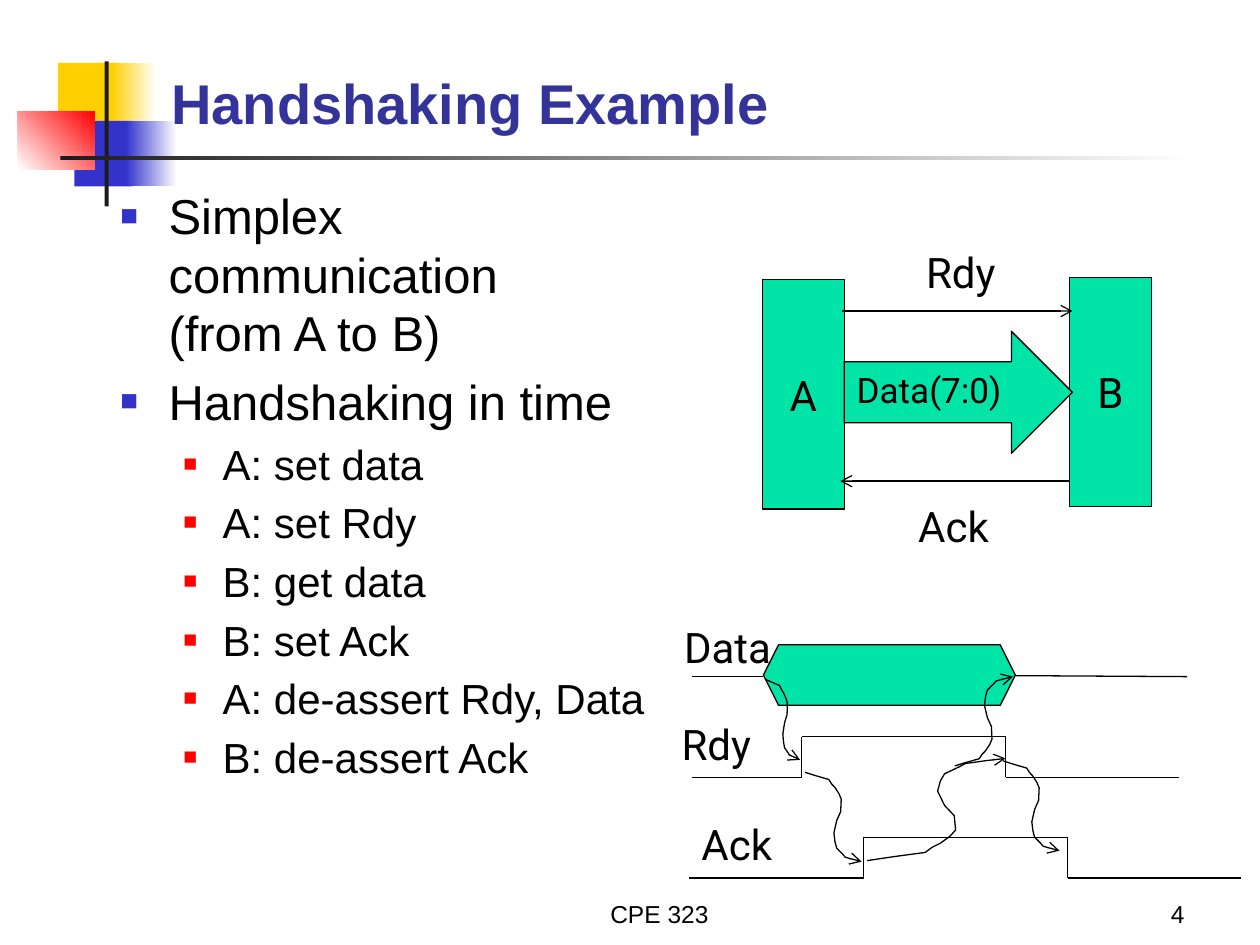
from dataclasses import dataclass

from lxml.etree import SubElement
from pptx import Presentation
from pptx.dml.color import RGBColor
from pptx.enum.shapes import MSO_CONNECTOR, MSO_SHAPE
from pptx.enum.text import MSO_ANCHOR, PP_ALIGN
from pptx.oxml.ns import qn
from pptx.util import Cm, Pt


@dataclass(frozen=True)
class Theme:
    yellow: str = "FFCF01"
    blue: str = "3333CC"
    red: str = "FF0000"
    white: str = "FFFFFF"
    dark: str = "1C1C1C"
    title: str = "333399"
    text: str = "000000"
    green: str = "00E4A8"
    body_font: str = "Arial"
    label_font: str = "Roboto"
    title_size: int = 32
    body_size: int = 28
    item_size: int = 24
    label_size: int = 24
    bus_size: int = 20
    footer_size: int = 14
    line_width: float = 0.75


theme = Theme()


def add_run(p, text, size, font, color=theme.text):
    r = p.add_run()
    r.text = text
    r.font.size = Pt(size)
    r.font.name = font
    r.font.color.rgb = RGBColor.from_string(color)
    return r


def set_stroke(sp, arrow=False):
    sp.line.color.rgb = RGBColor.from_string(theme.text)
    sp.line.width = Pt(theme.line_width)
    spPr = sp.element.spPr
    if arrow:
        SubElement(spPr.find(qn("a:ln")), qn("a:tailEnd"), type="arrow")
    SubElement(spPr, qn("a:effectLst"))


prs = Presentation()
prs.slide_width = Cm(25.4)
prs.slide_height = Cm(19.05)
s = prs.slides.add_slide(prs.slide_layouts[5])

decorations = [
    (1.17, 1.27, 1.22, 1.32, [theme.yellow], 0),
    (2.24, 1.27, 0.91, 1.32, [theme.yellow, theme.white], 0),
    (1.5, 2.44, 1.17, 1.32, [theme.blue], 0),
    (2.54, 2.44, 1.02, 1.32, [theme.blue, theme.white], 0),
    (0.36, 2.24, 1.55, 1.17, [theme.white, theme.red], 45),
    (2.11, 1.24, 0.08, 2.92, [theme.dark], 0),
    (1.22, 3.15, 22.86, 0.08, [theme.dark, theme.white], 0),
]
for x, y, w, h, colors, angle in decorations:
    sp = s.shapes.add_shape(MSO_SHAPE.RECTANGLE, Cm(x), Cm(y), Cm(w), Cm(h))
    sp.shadow.inherit = False
    sp.line.fill.background()
    if len(colors) == 1:
        sp.fill.solid()
        sp.fill.fore_color.rgb = RGBColor.from_string(colors[0])
    else:
        sp.fill.gradient()
        sp.fill.gradient_angle = angle
        for stop, color in zip(sp.fill.gradient_stops, colors):
            stop.color.rgb = RGBColor.from_string(color)

title = s.shapes.title
title.element.getparent().append(title.element)
title.left, title.top, title.width, title.height = Cm(3.2), Cm(0.46), Cm(21.64), Cm(2.41)
tf = title.text_frame
tf.vertical_anchor = MSO_ANCHOR.BOTTOM
p = tf.paragraphs[0]
p.alignment = PP_ALIGN.LEFT
r = add_run(p, "Handshaking Example", theme.title_size, theme.body_font, theme.title)
r.font.bold = True

body = [
    (0, ["Simplex communication", "(from A to B)"]),
    (0, ["Handshaking in time"]),
    (1, ["A: set data"]),
    (1, ["A: set Rdy"]),
    (1, ["B: get data"]),
    (1, ["B: set Ack"]),
    (1, ["A: de-assert Rdy, Data"]),
    (1, ["B: de-assert Ack"]),
]
levels = [
    (theme.body_size, 0.97, 0.97, theme.blue, 60, 33.4, 5.7),
    (theme.item_size, 2.06, 0.79, theme.red, 55, 28.6, 4.9),
]
tf = s.shapes.add_textbox(Cm(2.18), Cm(3.63), Cm(11.2), Cm(14.71)).text_frame
tf.word_wrap = True
for i, (level, lines) in enumerate(body):
    size, margin, hanging, color, percent, spacing, before = levels[level]
    p = tf.add_paragraph() if i else tf.paragraphs[0]
    p.level = level
    pPr = p._p.get_or_add_pPr()
    pPr.set("marL", str(Cm(margin)))
    pPr.set("indent", str(-Cm(hanging)))
    SubElement(SubElement(pPr, qn("a:buClr")), qn("a:srgbClr"), val=color)
    SubElement(pPr, qn("a:buSzPct"), val=str(percent * 1000))
    SubElement(pPr, qn("a:buFont"), typeface=theme.body_font)
    SubElement(pPr, qn("a:buChar"), char="■")
    p.line_spacing = Pt(spacing)
    if i:
        p.space_before = Pt(before)
    for j, line in enumerate(lines):
        if j:
            p.add_line_break()
        add_run(p, line, size, theme.body_font)

footers = [
    (9.27, 8.05, "CPE 323", PP_ALIGN.CENTER),
    (18.85, 5.28, "4", PP_ALIGN.RIGHT),
]
for x, w, text, align in footers:
    tf = s.shapes.add_textbox(Cm(x), Cm(17.58), Cm(w), Cm(1.27)).text_frame
    tf.word_wrap = True
    tf.vertical_anchor = MSO_ANCHOR.BOTTOM
    tf.paragraphs[0].alignment = align
    add_run(tf.paragraphs[0], text, theme.footer_size, theme.body_font)

middle, top = MSO_ANCHOR.MIDDLE, MSO_ANCHOR.TOP
center, left = PP_ALIGN.CENTER, PP_ALIGN.LEFT
blocks = [
    (MSO_SHAPE.RECTANGLE, 15.37, 5.64, 1.65, 4.62, "A", theme.label_size, middle, center),
    (MSO_SHAPE.RECTANGLE, 21.56, 5.59, 1.65, 4.62, "B", theme.label_size, middle, center),
    (MSO_SHAPE.RIGHT_ARROW, 17.02, 6.68, 4.6, 2.46, "Data(7:0)", theme.bus_size, top, left),
    (MSO_SHAPE.HEXAGON, 15.39, 13, 5.08, 1.22, "", theme.label_size, middle, center),
]
for kind, x, y, w, h, text, size, anchor, align in blocks:
    sp = s.shapes.add_shape(kind, Cm(x), Cm(y), Cm(w), Cm(h))
    sp.fill.solid()
    sp.fill.fore_color.rgb = RGBColor.from_string(theme.green)
    set_stroke(sp)
    if text:
        tf = sp.text_frame
        tf.word_wrap = False
        tf.vertical_anchor = anchor
        tf.paragraphs[0].alignment = align
        add_run(tf.paragraphs[0], text, size, theme.label_font)

signals = [
    ([(16.97, 6.27), (21.62, 6.27)], True),
    ([(21.56, 9.7), (16.94, 9.7)], True),
    ([(13.94, 13.64), (15.39, 13.64)], False),
    ([(20.47, 13.62), (23.93, 13.64)], False),
]
pulses = [
    (13.94, 16.16, 20.27, 23.77, 14.85, 15.67),
    (13.89, 17.41, 21.52, 25.02, 16.88, 17.7),
]
for start, rise, fall, end, high, low in pulses:
    points = [(start, low), (rise, low), (rise, high), (fall, high), (fall, low), (end, low)]
    signals.append((points, False))
for points, arrow in signals:
    for (x1, y1), (x2, y2) in zip(points, points[1:]):
        line = s.shapes.add_connector(MSO_CONNECTOR.STRAIGHT, Cm(x1), Cm(y1), Cm(x2), Cm(y2))
        set_stroke(line, arrow)

labels = [
    (18.42, 4.85, "Rdy"),
    (18.26, 9.96, "Ack"),
    (13.49, 14.35, "Rdy"),
    (13.89, 16.38, "Ack"),
    (13.54, 12.4, "Data"),
]
for x, y, text in labels:
    tf = s.shapes.add_textbox(Cm(x), Cm(y), Cm(2.26), Cm(1.3)).text_frame
    tf.word_wrap = True
    add_run(tf.paragraphs[0], text, theme.label_size, theme.label_font)

bend = [
    (0, 0), (0.2, 0.04), (0.42, 0.08), (0.47, 0.13), (0.53, 0.17), (0.6, 0.24),
    (0.64, 0.3), (0.63, 0.44), (0.56, 0.54), (0.51, 0.68), (0.53, 0.78),
    (0.56, 0.85), (0.67, 0.92), (0.71, 0.95), (0.87, 0.98), (1, 1),
]
causes = [
    (15.42, 13.69, 16.13, 15.32),
    (16.23, 15.57, 17.37, 17.37),
    (17.48, 17.35, 20.27, 15.29),
    (20.22, 15.34, 21.36, 17.15),
    (19.25, 15.44, 20.42, 13.64),
]
for x1, y1, x2, y2 in causes:
    points = [(Cm(x1 + (x2 - x1) * u), Cm(y1 + (y2 - y1) * v)) for u, v in bend]
    builder = s.shapes.build_freeform(*points[0])
    builder.add_line_segments(points[1:], close=False)
    sp = builder.convert_to_shape()
    sp.fill.background()
    set_stroke(sp, True)

prs.save("out.pptx")
